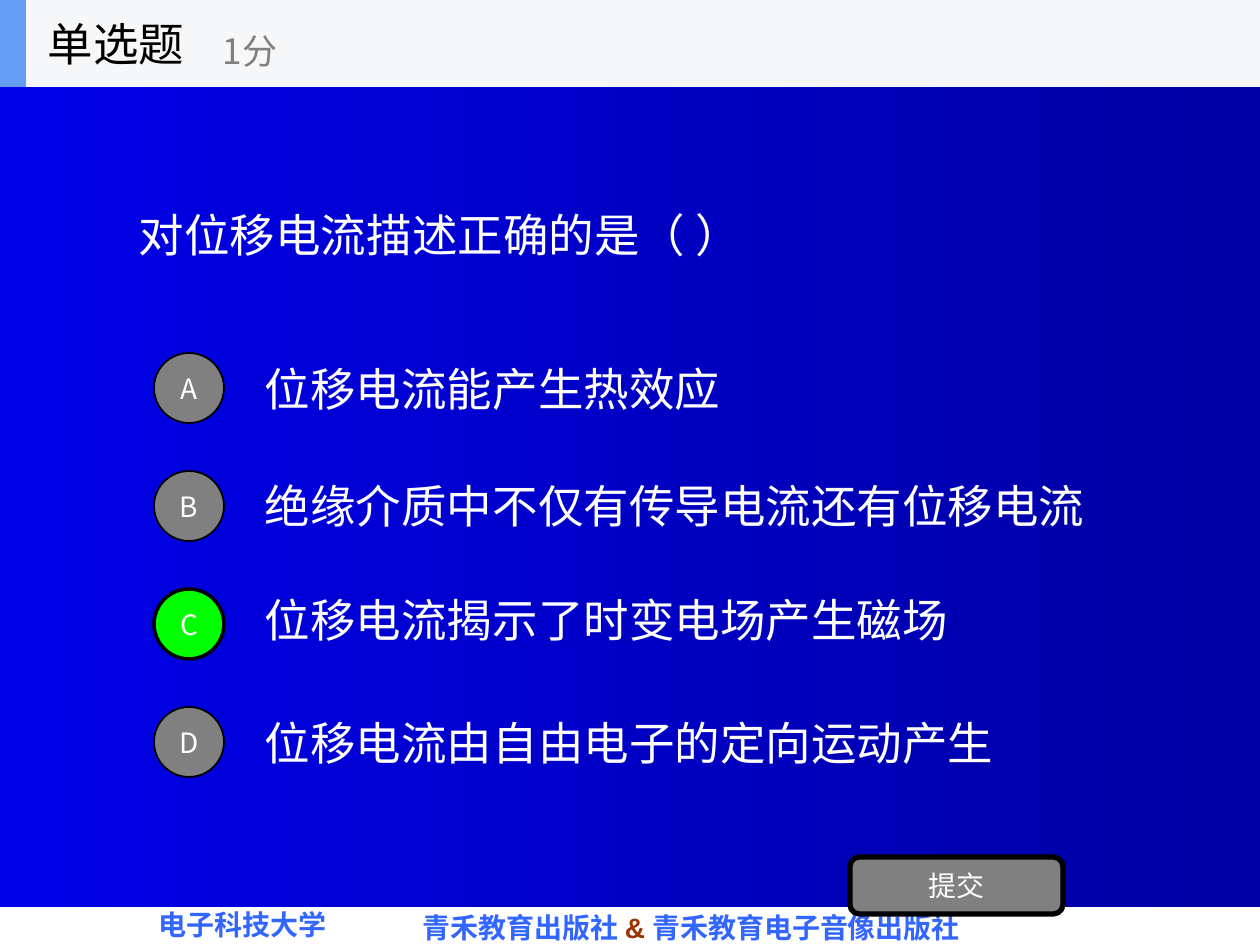
from pptx import Presentation
from pptx import util as u
from pptx.dml.color import RGBColor
from pptx.enum import shapes, text
from pptx.oxml.ns import qn
from lxml import etree

# Content
HEAD = ("单选题", "1分")
ASK = "对位移电流描述正确的是（ ）"
# letter, answer, top of answer text, right answer?
OPTS = [
    ("A", "位移电流能产生热效应", 344, False),
    ("B", "绝缘介质中不仅有传导电流还有位移电流", 461, False),
    ("C", "位移电流揭示了时变电场产生磁场", 575, True),
    ("D", "位移电流由自由电子的定向运动产生", 698, False),
]
SEND = "提交"
# left, top, width, height, runs
FOOT = [
    (146, 907, 230, 34, [("电子科技大学", "link")]),
    (410, 910, 640, 36, [("青禾教育出版社 ", "link"), ("& ", "amp"),
                         ("青禾教育电子音像出版社", "link")]),
]


class Theme:
    cjk, latin = "Noto Sans CJK SC", "Arial"
    big, mid, small = 26, 20, 16
    hue = dict(white="FFFFFF", black="000000", gray="808080", right="00FF00",
               bar="F6F7F8", tab="639EF4", link="3366FF", amp="993300",
               left="0000E8", far="0000A3")


def px(n):
    return round(n * 914400 / 126)


def rgb(name):
    return RGBColor.from_string(Theme.hue[name])


def write(shape, runs, size, font=Theme.cjk, bold=False, align="LEFT",
          anchor="MIDDLE", wrap=True, top=6):
    frame = shape.text_frame
    form = dict(word_wrap=wrap, vertical_anchor=text.MSO_ANCHOR[anchor],
                margin_left=px(13), margin_right=px(13),
                margin_top=px(top), margin_bottom=px(6))
    for key, val in form.items():
        setattr(frame, key, val)
    para = frame.paragraphs[0]
    para.alignment = text.PP_ALIGN[align]
    for words, color in runs:
        run = para.add_run()
        run.text = words
        for key, val in dict(name=font, size=u.Pt(size), bold=bold).items():
            setattr(run.font, key, val)
        run.font.color.rgb = rgb(color)
        face = etree.SubElement(run.font._element, qn("a:ea"))
        face.set("typeface", Theme.cjk)


def label(home, box, runs, size, **form):
    write(home.add_textbox(*map(px, box)), runs, size, **form)


def block(home, kind, box, fill=None, line=0):
    shape = home.add_shape(shapes.MSO_SHAPE[kind], *map(px, box))
    shape.shadow.inherit = False
    if fill:
        shape.fill.solid()
        shape.fill.fore_color.rgb = rgb(fill)
    if line:
        shape.line.color.rgb = rgb("black")
        shape.line.width = u.Pt(line)
    else:
        shape.line.fill.background()
    return shape


def button(home, kind, box, words, fill, line):
    shape = block(home, kind, box, fill, line)
    # The label sits centred and may run past the side insets
    write(shape, [(words, "white")], Theme.small, align="CENTER")


def main():
    deck = Presentation()
    deck.slide_width, deck.slide_height = px(1260), px(945)
    slide = deck.slides.add_slide(deck.slide_layouts[6])
    home = slide.shapes

    # Blue field
    field = block(home, "RECTANGLE", (0, 54, 1260, 853))
    field.fill.gradient()
    field.fill.gradient_angle = 0
    for stop, pos, name in zip(field.fill.gradient_stops, (0, 1), ("left", "far")):
        stop.position = pos
        stop.color.rgb = rgb(name)

    # Footer
    for *box, runs in FOOT:
        label(home, box, runs, Theme.small, font=Theme.latin, bold=True,
              anchor="TOP", wrap=False, top=1)

    # Question and options
    label(home, (126, 87, 1008, 295), [(ASK, "white")], Theme.big)
    for row, (mark, words, top, right) in enumerate(OPTS):
        label(home, (252, top, 882, 88), [(words, "white")], Theme.big)
        button(home, "OVAL", (154, 353 + 118 * row, 70, 70), mark,
               "right" if right else "gray", 2 if right else 1)
    button(home, "ROUNDED_RECTANGLE", (850, 857, 213, 57), SEND, "gray", 3)

    # Header
    head = home.add_group_shape().shapes
    block(head, "RECTANGLE", (0, 0, 1260, 87), "bar")
    block(head, "RECTANGLE", (0, 0, 26, 87), "tab")
    title, score = HEAD
    label(head, (35, 0, 262, 87), [(title, "black")], Theme.big, wrap=False)
    label(head, (210, 15, 315, 71), [(score, "gray")], Theme.mid, wrap=False)

    deck.save("out.pptx")


if __name__ == "__main__":
    main()
